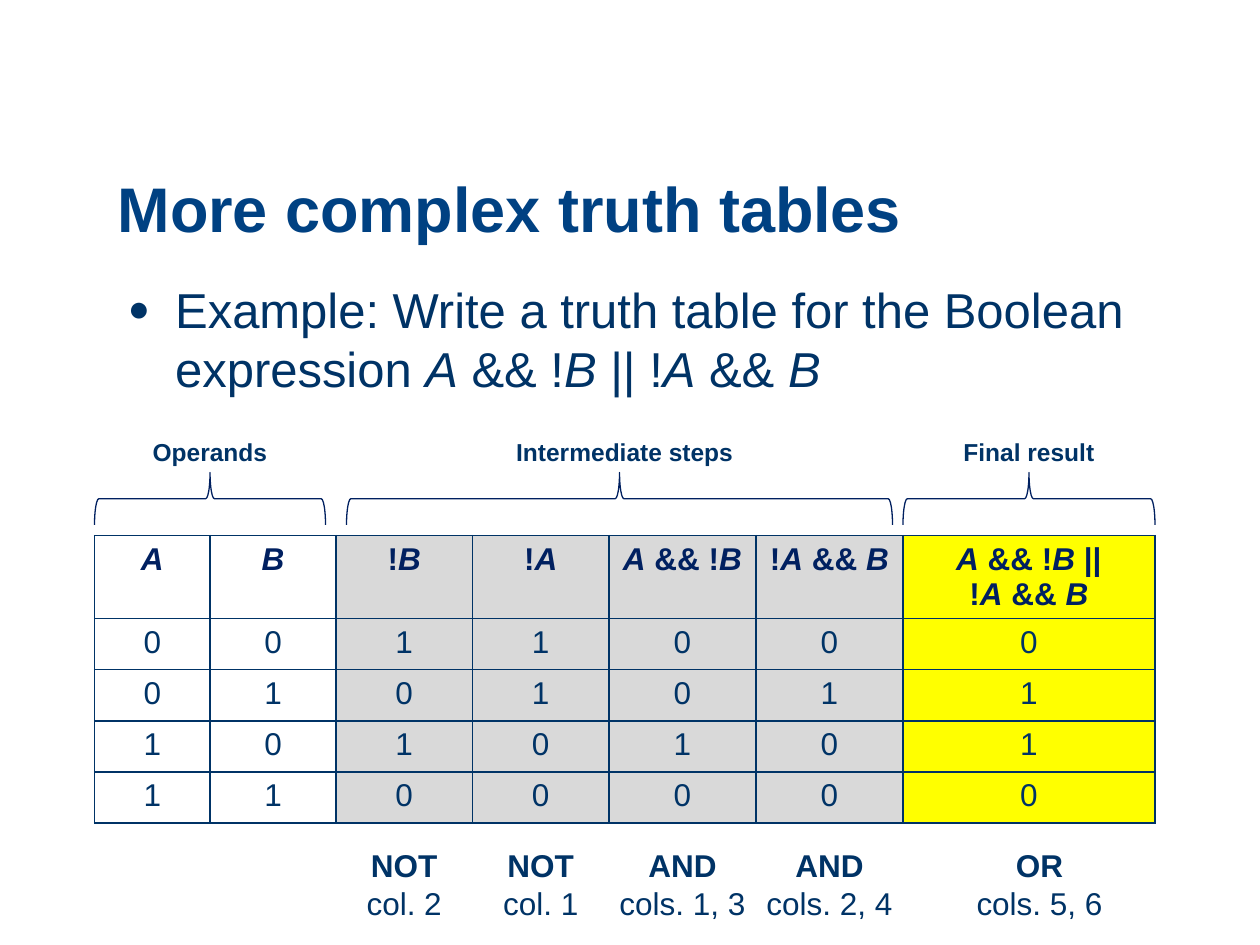
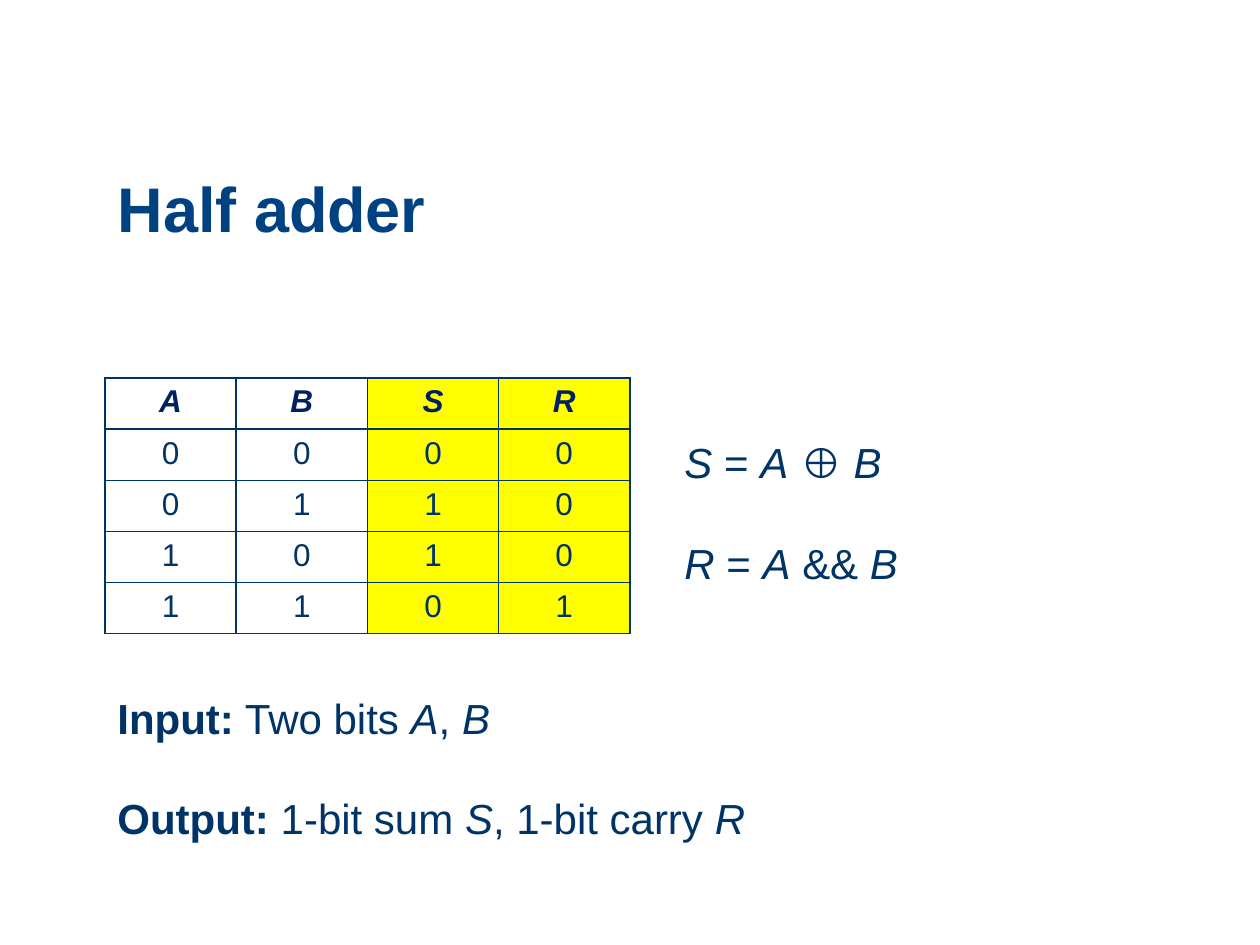
from dataclasses import dataclass

from lxml.etree import SubElement
from pptx import Presentation
from pptx.dml.color import RGBColor as Color
from pptx.enum.shapes import MSO_SHAPE as Shape
from pptx.enum.text import MSO_ANCHOR as Anchor, PP_ALIGN as Align
from pptx.oxml.ns import qn
from pptx.util import Pt


@dataclass(frozen=True)
class Theme:
    font: str = "Arial"
    title: str = "004182"
    text: str = "003366"
    header: str = "002060"
    step_fill: str = "D9D9D9"
    result_fill: str = "FFFF00"
    title_size: int = 36
    body_size: int = 28
    note_size: int = 24
    cell_size: int = 18
    label_size: int = 14


THEME = Theme()
ROW_HEIGHT = 29.25


def set_attributes(target, values):
    for name, value in values.items():
        setattr(target, name, value)


def write_rich_text(paragraph, text, size, color=THEME.text):
    """Add runs, where *stars* mark bold, _underscores_ italic and \\n a line break."""
    for bold_index, bold_part in enumerate(text.split("*")):
        for italic_index, italic_part in enumerate(bold_part.split("_")):
            for line_index, piece in enumerate(italic_part.split("\n")):
                if line_index:
                    paragraph.add_line_break()
                if not piece:
                    continue
                run = paragraph.add_run()
                run.text = piece
                set_attributes(run.font, {
                    "name": THEME.font,
                    "size": Pt(size),
                    "bold": bold_index % 2 == 1,
                    "italic": italic_index % 2 == 1,
                })
                run.font.color.rgb = Color.from_string(color)


def round_corners(shape, adjustment):
    """Give a placeholder a rounded outline, which python-pptx cannot set."""
    geometry = SubElement(shape._element.spPr, qn("a:prstGeom"), prst="roundRect")
    guides = SubElement(geometry, qn("a:avLst"))
    SubElement(guides, qn("a:gd"), name="adj", fmla=f"val {adjustment}")


def add_titled_slide(presentation, text):
    slide = presentation.slides.add_slide(presentation.slide_layouts[5])
    title = slide.shapes.title
    set_attributes(title, {
        "left": Pt(60), "top": Pt(78), "width": Pt(624), "height": Pt(66),
    })
    round_corners(title, 21700)
    title.text_frame.vertical_anchor = Anchor.BOTTOM
    paragraph = title.text_frame.paragraphs[0]
    set_attributes(paragraph, {"alignment": Align.LEFT, "line_spacing": 0.9})
    write_rich_text(paragraph, f"*{text}*", THEME.title_size, THEME.title)
    return slide


def add_text(slide, box, texts, size, alignment=Align.LEFT, gap=0):
    """Add a text box with one paragraph per text and the gap between them."""
    frame = slide.shapes.add_textbox(*map(Pt, box)).text_frame
    frame.word_wrap = True
    for index, text in enumerate(texts):
        paragraph = frame.add_paragraph() if index else frame.paragraphs[0]
        set_attributes(paragraph, {
            "alignment": alignment,
            "space_before": Pt(gap if index else 0),
        })
        write_rich_text(paragraph, text, size)
    return frame


def add_centered_label(slide, center, top, width, height, text, size):
    box = (center - width / 2, top, width, height)
    add_text(slide, box, [text], size, Align.CENTER)


def add_bullet(paragraph, indent):
    properties = paragraph._p.get_or_add_pPr()
    properties.set("marL", str(Pt(indent)))
    properties.set("indent", str(-Pt(indent)))
    color = SubElement(properties, qn("a:buClr"))
    SubElement(color, qn("a:srgbClr"), val=THEME.text)
    SubElement(properties, qn("a:buSzPct"), val="75000")
    SubElement(properties, qn("a:buFont"), typeface=THEME.font)
    SubElement(properties, qn("a:buChar"), char="●")


def add_cell_borders(cell):
    properties = cell._tc.get_or_add_tcPr()
    for side in ("lnL", "lnR", "lnT", "lnB"):
        line = SubElement(properties, qn(f"a:{side}"), w=str(Pt(1)))
        fill = SubElement(line, qn("a:solidFill"))
        SubElement(fill, qn("a:srgbClr"), val=THEME.text)


def format_cell(cell, text, text_color, fill):
    add_cell_borders(cell)
    if fill:
        cell.fill.solid()
        cell.fill.fore_color.rgb = Color.from_string(fill)
    else:
        cell.fill.background()
    if "\n" in text:
        cell.margin_bottom = 0
    paragraph = cell.text_frame.paragraphs[0]
    paragraph.alignment = Align.CENTER
    write_rich_text(paragraph, text, THEME.cell_size, text_color)


def add_truth_table(slide, left, top, widths, header_height, headers, rows, fills):
    """Add a table whose rows are strings of bits, one bit per column."""
    heights = [header_height] + [ROW_HEIGHT] * len(rows)
    table = slide.shapes.add_table(
        len(heights), len(widths), Pt(left), Pt(top), Pt(sum(widths)), Pt(sum(heights))
    ).table
    set_attributes(table, {"first_row": False, "horz_banding": False})
    for column, width in zip(table.columns, widths):
        column.width = Pt(width)
    for row, height in zip(table.rows, heights):
        row.height = Pt(height)
    bold_headers = [f"*{header}*" for header in headers]
    for row_index, texts in enumerate([bold_headers, *rows]):
        color = THEME.text if row_index else THEME.header
        for column_index, (text, fill) in enumerate(zip(texts, fills)):
            format_cell(table.cell(row_index, column_index), text, color, fill)


def add_top_brace(slide, left, right, top=270, depth=30):
    """Add a brace that spans left to right and points up."""
    span = right - left
    brace = slide.shapes.add_shape(
        Shape.LEFT_BRACE,
        Pt((left + right - depth) / 2), Pt(top + (depth - span) / 2),
        Pt(depth), Pt(span),
    )
    brace.rotation = 90
    brace.shadow.inherit = False
    brace.fill.background()
    brace.line.color.rgb = Color.from_string(THEME.header)
    brace.line.width = Pt(0.75)


def build_complex_table_slide(presentation):
    slide = add_titled_slide(presentation, "More complex truth tables")
    example = add_text(
        slide, (66, 156, 605.5, 323),
        ["Example: Write a truth table for the Boolean expression "
         "_A_ && !_B_ || !_A_ && _B_"],
        THEME.body_size,
    )
    add_bullet(example.paragraphs[0], 27)

    add_truth_table(
        slide, 54, 306, [66, 72, 78, 78, 84, 84, 144], 47.5,
        ["_A_", "_B_", "!_B_", "!_A_", "_A_ && !_B_", "!_A_ && _B_",
         "_A_ && !_B_ ||\n!_A_ && _B_"],
        ["0011000", "0101011", "1010101", "1100000"],
        [None] * 2 + [THEME.step_fill] * 4 + [THEME.result_fill],
    )

    column_groups = [
        ("Operands", 54, 186, 120, 108),
        ("Intermediate steps", 198, 510, 357, 186),
        ("Final result", 516, 660, 588, 108),
    ]
    for name, left, right, center, width in column_groups:
        add_top_brace(slide, left, right)
        add_centered_label(slide, center, 246, width, 24.5,
                           f"*{name}*", THEME.label_size)

    operations = [
        ("NOT", "col. 2", 231, 66),
        ("NOT", "col. 1", 309, 66),
        ("AND", "cols. 1, 3", 390, 96),
        ("AND", "cols. 2, 4", 474, 96),
        ("OR", "cols. 5, 6", 594, 96),
    ]
    for operator, columns, center, width in operations:
        add_centered_label(slide, center, 480, width, 51,
                           f"*{operator}*\n{columns}", THEME.cell_size)


def build_half_adder_slide(presentation):
    slide = add_titled_slide(presentation, "Half adder")
    add_truth_table(
        slide, 60, 216, [75] * 4, ROW_HEIGHT,
        ["_A_", "_B_", "_S_", "_R_"],
        ["0000", "0110", "1010", "1101"],
        [None] * 2 + [THEME.result_fill] * 2,
    )
    notes = [
        ((60, 392, 378, 94), ["*Input:* Two bits _A_, _B_",
                              "*Output:* 1-bit sum _S_, 1-bit carry _R_"]),
        ((384, 246, 300, 94), ["_S_ = _A_ ⊕ _B_", "_R_ = _A_ && _B_"]),
    ]
    for box, texts in notes:
        add_text(slide, box, texts, THEME.note_size, gap=28.8)


def main():
    presentation = Presentation()
    set_attributes(presentation, {"slide_width": Pt(720), "slide_height": Pt(540)})
    build_complex_table_slide(presentation)
    build_half_adder_slide(presentation)
    presentation.save("out.pptx")


if __name__ == "__main__":
    main()
